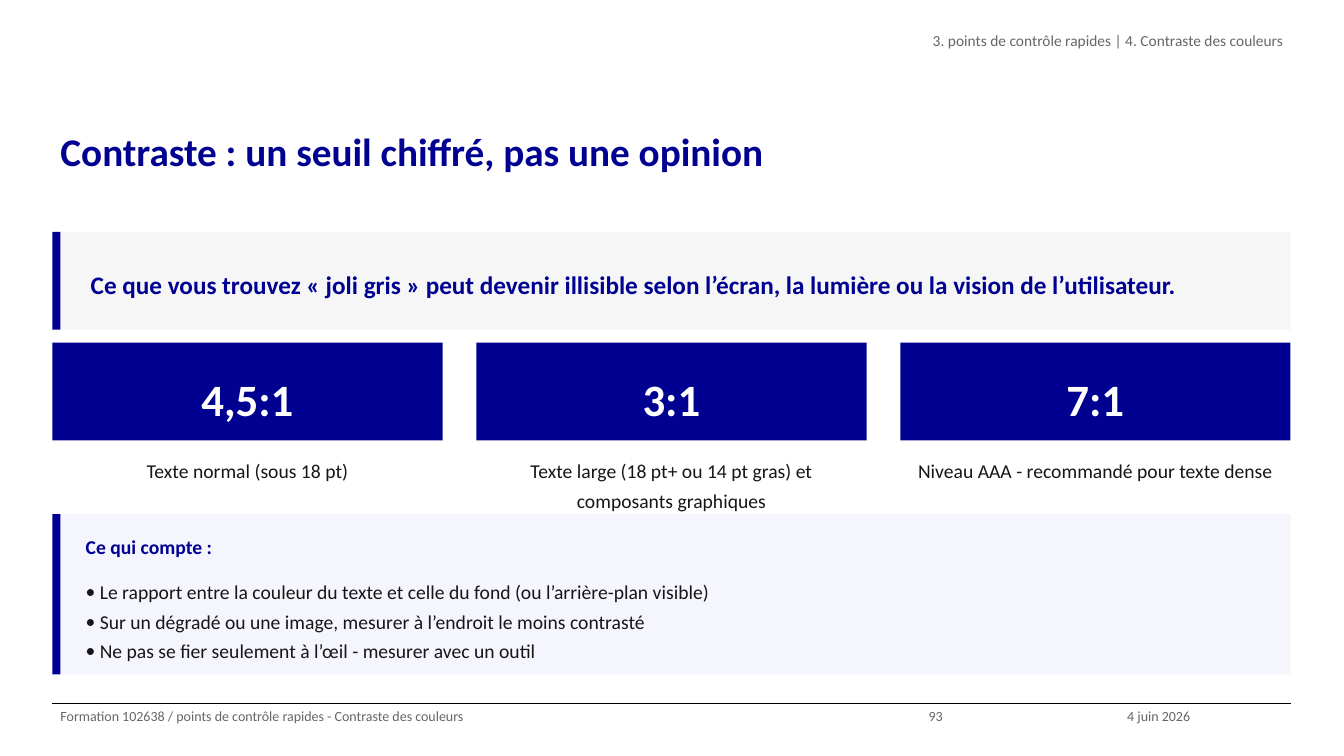
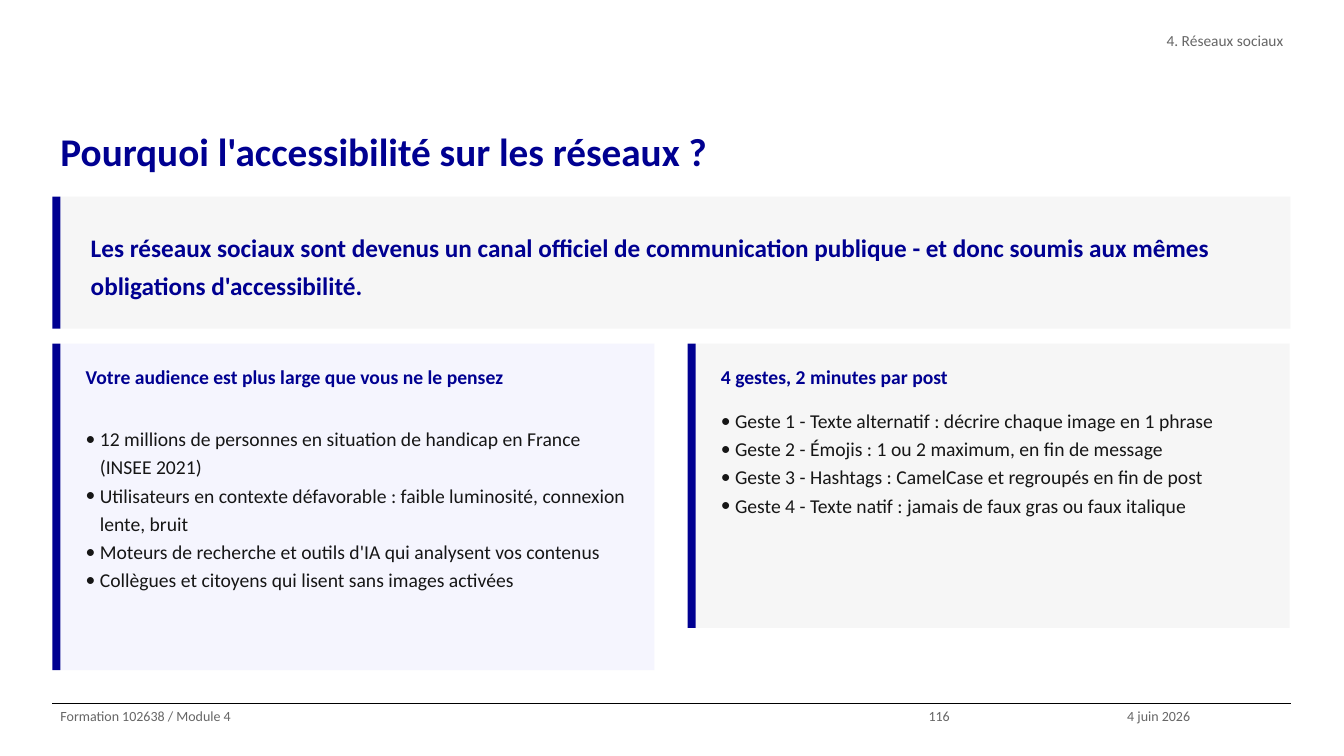
from lxml.etree import SubElement
from pptx import Presentation
from pptx.dml.color import RGBColor
from pptx.enum.shapes import MSO_CONNECTOR, MSO_SHAPE
from pptx.enum.text import MSO_ANCHOR, PP_ALIGN
from pptx.oxml.ns import qn
from pptx.util import Inches, Pt

COLORS = {"blue": "000091", "ink": "161616", "gray": "666666", "white": "FFFFFF",
          "black": "000000", "pale": "F6F6F6", "lilac": "F5F5FE"}
FONT = "Calibri"
LEFT, WIDTH, BAR = 0.52, 12.28, 0.08
FOOT = 6.98
STAT_W = 3.87
STAT_STEP = (WIDTH - STAT_W) / 2
HANG = Inches(0.14)

SLIDES = [
    {
        "title": "Contraste : un seuil chiffré, pas une opinion",
        "trail": "3. points de contrôle rapides | 4. Contraste des couleurs",
        "footer": "Formation 102638 / points de contrôle rapides - Contraste des couleurs",
        "number": "93",
        "quote": "Ce que vous trouvez « joli gris » peut devenir illisible selon l’écran, "
                 "la lumière ou la vision de l’utilisateur.",
        "quote_top": 2.3, "quote_height": 0.97,
        "stats": [
            ("4,5:1", "Texte normal (sous 18 pt)"),
            ("3:1", "Texte large (18 pt+ ou 14 pt gras) et composants graphiques"),
            ("7:1", "Niveau AAA - recommandé pour texte dense"),
        ],
        "spacing": 1.25,
        # panel: left, top, width, height, fill, heading height, heading, bullets
        "panels": [
            (LEFT, 5.1, WIDTH, 1.59, "lilac", 0.35, "Ce qui compte :", [
                "Le rapport entre la couleur du texte et celle du fond (ou l’arrière-plan visible)",
                "Sur un dégradé ou une image, mesurer à l’endroit le moins contrasté",
                "Ne pas se fier seulement à l’œil - mesurer avec un outil",
            ]),
        ],
    },
    {
        "title": "Pourquoi l'accessibilité sur les réseaux ?",
        "trail": "4. Réseaux sociaux",
        "footer": "Formation 102638 / Module 4",
        "number": "116",
        "quote": "Les réseaux sociaux sont devenus un canal officiel de communication publique "
                 "- et donc soumis aux mêmes obligations d'accessibilité.",
        "quote_top": 1.95, "quote_height": 1.31,
        "stats": [],
        "spacing": 1.2,
        "panels": [
            (LEFT, 3.41, 5.97, 3.24, "lilac", 0.53,
             "Votre audience est plus large que vous ne le pensez", [
                 "12 millions de personnes en situation de handicap en France (INSEE 2021)",
                 "Utilisateurs en contexte défavorable : faible luminosité, connexion lente, bruit",
                 "Moteurs de recherche et outils d'IA qui analysent vos contenus",
                 "Collègues et citoyens qui lisent sans images activées",
             ]),
            (6.82, 3.41, 5.97, 2.82, "pale", 0.35, "4 gestes, 2 minutes par post", [
                "Geste 1 - Texte alternatif : décrire chaque image en 1 phrase",
                "Geste 2 - Émojis : 1 ou 2 maximum, en fin de message",
                "Geste 3 - Hashtags : CamelCase et regroupés en fin de post",
                "Geste 4 - Texte natif : jamais de faux gras ou faux italique",
            ]),
        ],
    },
]


def add_block(slide, left, top, width, height, color):
    block = slide.shapes.add_shape(MSO_SHAPE.RECTANGLE, Inches(left), Inches(top),
                                   Inches(width), Inches(height))
    block.shadow.inherit = False
    block.fill.solid()
    block.fill.fore_color.rgb = RGBColor.from_string(COLORS[color])
    block.line.fill.background()
    return block


def add_text(slide, box, lines, size, color, bold=False, align=PP_ALIGN.LEFT,
             anchor=MSO_ANCHOR.TOP, pad=0.05, spacing=1.25, bullets=False):
    """Write lines in a new text box at box (left, top, width, height in inches)."""
    shape = slide.shapes.add_textbox(*[Inches(part) for part in box])
    frame = shape.text_frame
    frame.word_wrap = True
    frame.vertical_anchor = anchor
    frame.margin_left = frame.margin_right = Inches(0.08)
    frame.margin_top = frame.margin_bottom = Inches(pad)
    frame.text = "\n".join(lines)
    for para in frame.paragraphs:
        para.alignment = align
        para.line_spacing = spacing
        if bullets:
            props = para._p.get_or_add_pPr()
            props.set("marL", str(HANG))
            props.set("indent", str(-HANG))
            SubElement(props, qn("a:buFont")).set("typeface", FONT)
            SubElement(props, qn("a:buChar")).set("char", "•")
        for run in para.runs:
            run.font.name = FONT
            run.font.size = Pt(size)
            run.font.bold = bold
            run.font.color.rgb = RGBColor.from_string(COLORS[color])


deck = Presentation()
deck.slide_width, deck.slide_height = Inches(13.33), Inches(7.5)

for page in SLIDES:
    slide = deck.slides.add_slide(deck.slide_layouts[6])

    rule = slide.shapes.add_connector(MSO_CONNECTOR.STRAIGHT, Inches(LEFT), Inches(FOOT),
                                      Inches(LEFT + WIDTH), Inches(FOOT))
    rule.line.color.rgb = RGBColor.from_string(COLORS["black"])
    rule.line.width = Pt(0.8)
    SubElement(rule._element.spPr, qn("a:effectLst"))

    add_text(slide, (LEFT, 1.15, WIDTH, 1.05), [page["title"]], 28, "blue", bold=True, pad=0)
    add_text(slide, (4.83, 0.26, 7.98, 0.52), [page["trail"]], 11, "gray",
             align=PP_ALIGN.RIGHT, pad=0)
    for left, width, note in [(LEFT, 8.61, page["footer"]), (9.13, 1.97, page["number"]),
                              (11.1, 1.71, "4 juin 2026")]:
        add_text(slide, (left, FOOT, width, 0.52), [note], 10, "gray", pad=0)

    top, height = page["quote_top"], page["quote_height"]
    add_block(slide, LEFT + BAR, top, WIDTH - BAR, height, "pale")
    add_block(slide, LEFT, top, BAR, height, "blue")
    add_text(slide, (LEFT + 0.3, top + 0.1, WIDTH - 0.4, height - 0.2), [page["quote"]],
             18, "blue", bold=True, anchor=MSO_ANCHOR.MIDDLE)

    for index, (ratio, label) in enumerate(page["stats"]):
        left = LEFT + index * STAT_STEP
        add_block(slide, left, 3.4, STAT_W, 0.97, "blue")
        add_text(slide, (left, 3.4, STAT_W, 0.97), [ratio], 32, "white", bold=True,
                 align=PP_ALIGN.CENTER, anchor=MSO_ANCHOR.MIDDLE)
        add_text(slide, (left, 4.45, STAT_W, 0.45), [label], 14, "ink",
                 align=PP_ALIGN.CENTER)

    for left, top, width, height, fill, head, heading, points in page["panels"]:
        add_block(slide, left + BAR, top, width - BAR, height, fill)
        add_block(slide, left, top, BAR, height, "blue")
        add_text(slide, (left + 0.25, top + 0.1, width - 0.35, head), [heading],
                 14, "blue", bold=True)
        add_text(slide, (left + 0.25, top + head + 0.2, width - 0.35, height - head - 0.3),
                 points, 14, "ink", spacing=page["spacing"], bullets=True)

deck.save("out.pptx")
